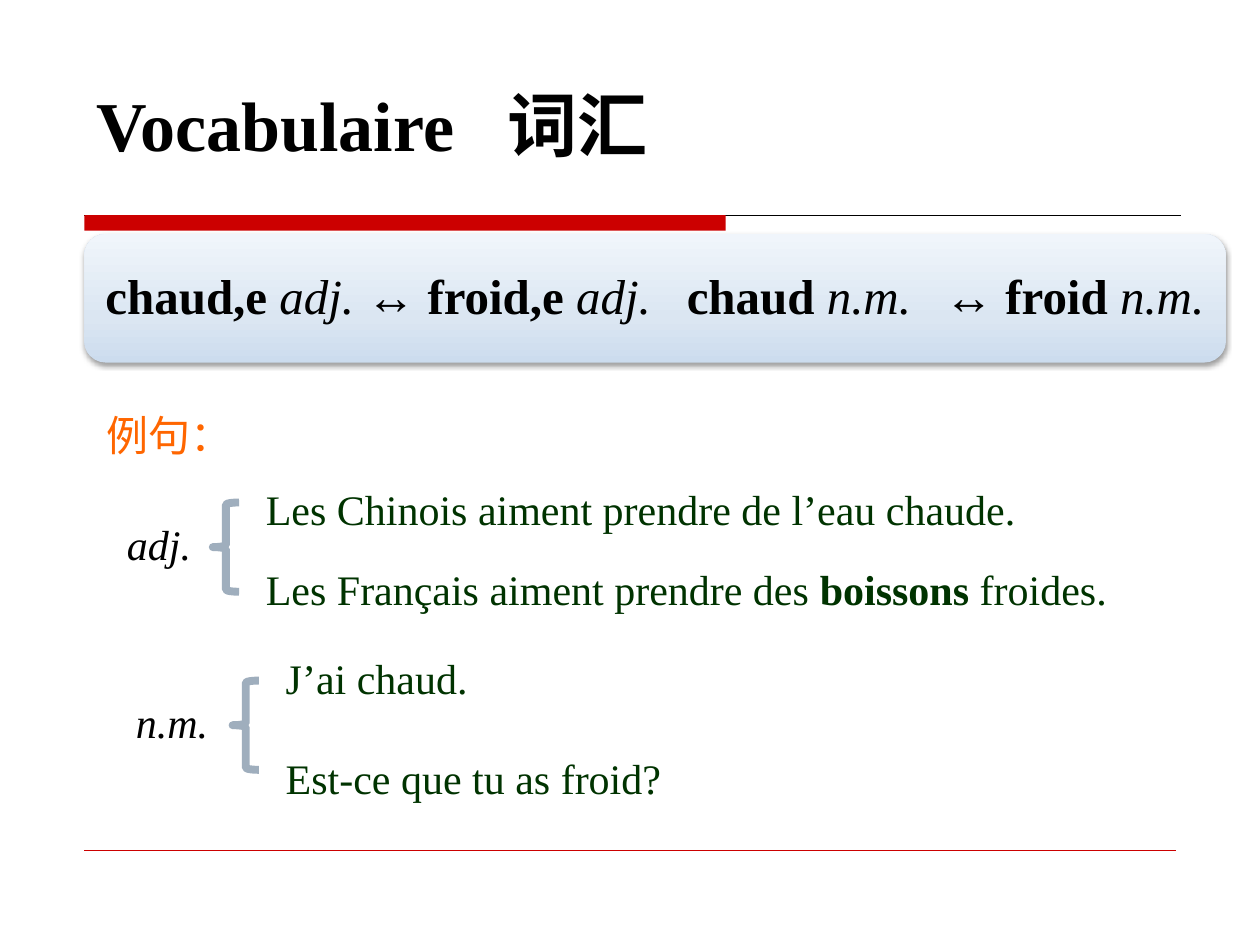
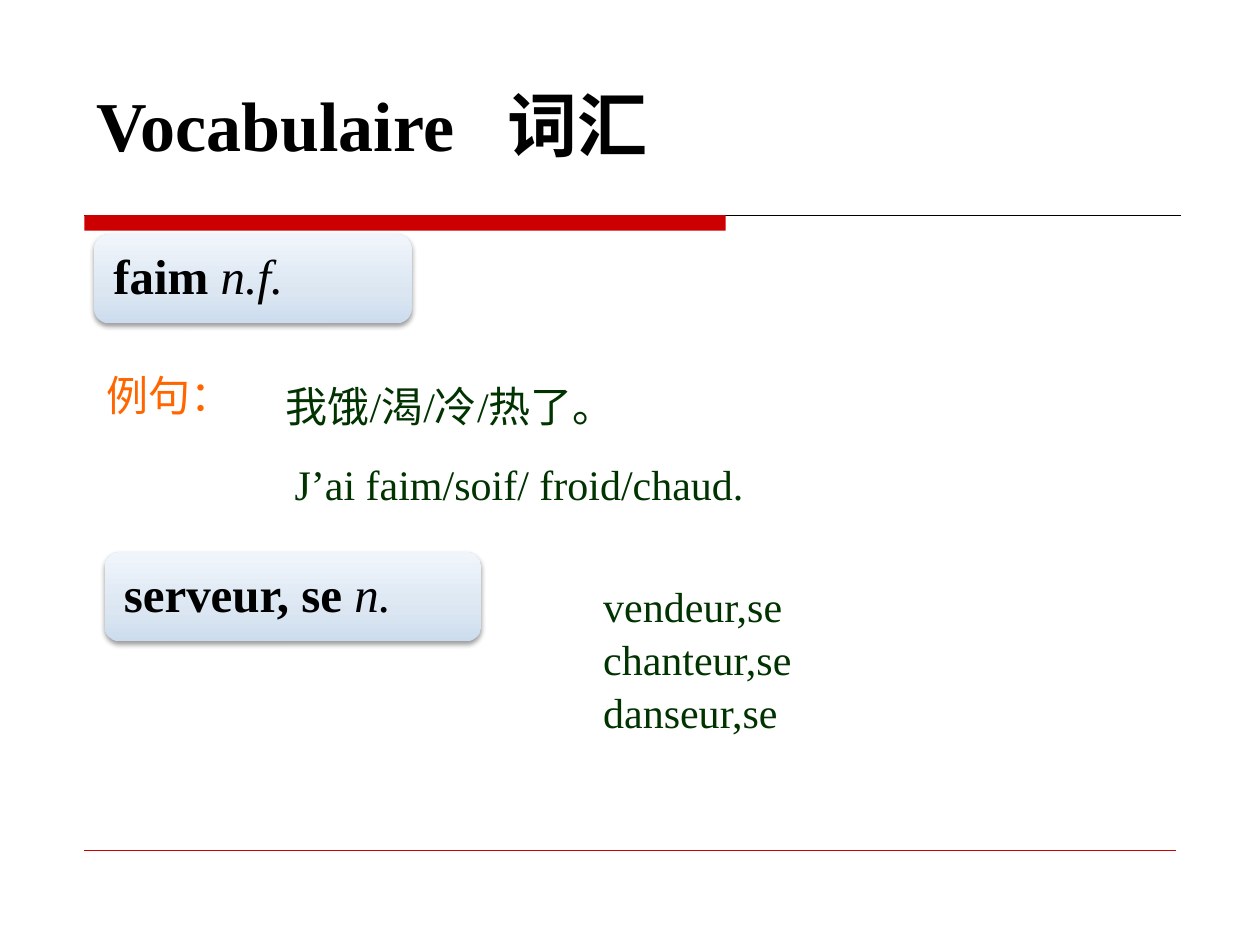
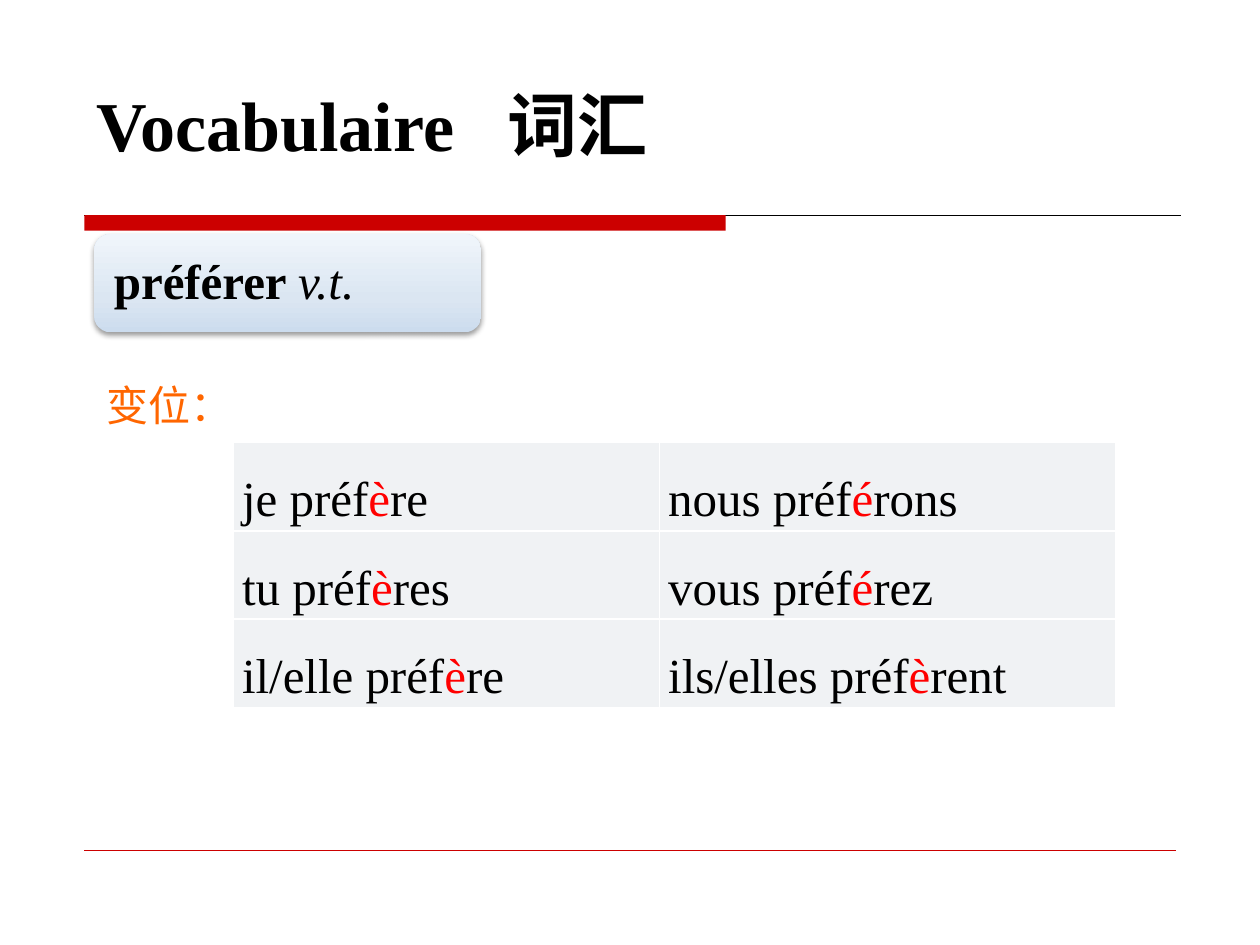
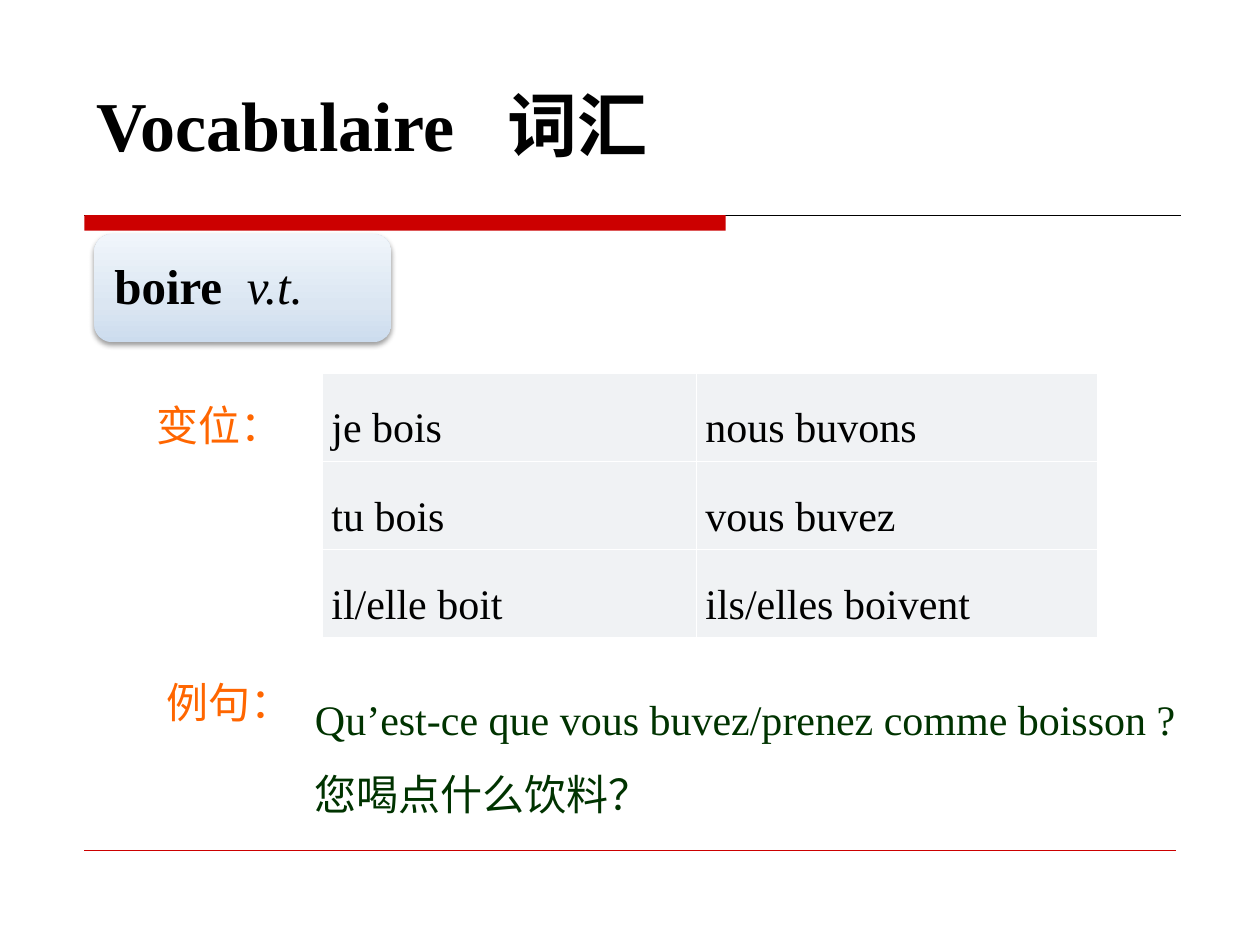
from copy import deepcopy

from lxml import etree
from pptx import Presentation
from pptx.dml.color import RGBColor
from pptx.enum.shapes import MSO_CONNECTOR, MSO_SHAPE
from pptx.enum.text import MSO_ANCHOR, MSO_AUTO_SIZE, PP_ALIGN
from pptx.oxml.ns import qn
from pptx.util import Cm, Pt

RECT, ROUND = MSO_SHAPE.RECTANGLE, MSO_SHAPE.ROUNDED_RECTANGLE
BRACE, STRAIGHT = MSO_SHAPE.LEFT_BRACE, MSO_CONNECTOR.STRAIGHT
MIDDLE, GROW = MSO_ANCHOR.MIDDLE, MSO_AUTO_SIZE.SHAPE_TO_FIT_TEXT
LEFT, JUSTIFY = PP_ALIGN.LEFT, PP_ALIGN.JUSTIFY

COLORS = {
    "red": "CC0000", "ink": "000000", "label": "FF6600", "green": "003300",
    "brace": "9FAEBD", "cell": "F0F2F4", "edge": "FFFFFF", "mark": "FF0000",
}
CARD_STOPS = [(0, "CCDCEE"), (0.35, "DBE6F2"), (1, "F0F5FB")]
SERIF, HAN = "Times New Roman", "Noto Sans CJK SC"


def rgb(name):
    return RGBColor.from_string(COLORS[name])


def node(parent, tag, **attrs):
    return etree.SubElement(parent, qn(tag), attrs)


class Deck:
    """Holds the style and the current slide."""

    def __init__(self):
        self.prs = Presentation()
        self.prs.slide_width, self.prs.slide_height = Cm(25.4), Cm(19.05)
        self.slide = None

    # Shared frame: title, red band and thin rules
    def page(self):
        self.slide = self.prs.slides.add_slide(self.prs.slide_layouts[6])
        self.rule(4.34, 23.8, "ink", 0.75)
        band = self.shape(RECT, (1.7, 4.34, 12.93, 0.31))
        band.fill.solid()
        band.fill.fore_color.rgb = rgb("red")
        band.line.fill.background()
        self.rule(17.14, 23.7, "red", 0.25)
        self.text((1.7, 1.52, 19.81, 1.96), "Vocabulaire\t词汇", size=40,
                  color="ink", bold=True, tabs=[8.28])

    def rule(self, y, right, color, width):
        line = self.slide.shapes.add_connector(
            STRAIGHT, Cm(1.7), Cm(y), Cm(right), Cm(y))
        line.line.color.rgb = rgb(color)
        line.line.width = Pt(width)
        node(line._element.spPr, "a:effectLst")

    def shape(self, kind, box):
        item = self.slide.shapes.add_shape(kind, *map(Cm, box))
        item.shadow.inherit = False
        return item

    # A bar in the text switches the accent on or off
    def style(self, para, text, size=24, color="green", font=SERIF, bold=False,
              italic=False, accent=None, space=None, tabs=(), align=LEFT):
        if tabs:
            stops = node(para._p.get_or_add_pPr(), "a:tabLst")
            for tab in tabs:
                node(stops, "a:tab", pos=str(Cm(tab)), algn="l")
        para.alignment = align
        if space:
            para.line_spacing = space
        for i, part in enumerate(text.split("|")):
            if not part:
                continue
            look = {"color": color, "bold": bold, "italic": italic}
            if i % 2:
                look.update(accent)
            run = para.add_run()
            run.text = part
            face = run.font
            face.size, face.name = Pt(size), font
            face.bold, face.italic = look["bold"], look["italic"]
            face.color.rgb = rgb(look["color"])
            node(run._r.get_or_add_rPr(), "a:ea", typeface=HAN)

    def text(self, box, *lines, **style):
        frame = self.slide.shapes.add_textbox(*map(Cm, box)).text_frame
        frame.word_wrap = True
        frame.auto_size = GROW
        for i, line in enumerate(lines):
            para = frame.add_paragraph() if i else frame.paragraphs[0]
            self.style(para, line, **style)

    def label(self, x, y, text):
        self.text((x, y, 4, 1.3), text, color="label", font=HAN)

    # Word card: bold word, italic word class
    def card(self, box, text, tabs=()):
        card = self.shape(ROUND, box)
        card.line.fill.background()
        card.fill.gradient()
        card.fill.gradient_angle = 90
        first = card._element.spPr.find(".//" + qn("a:gs"))
        first.addnext(deepcopy(first))
        for stop, (pos, tone) in zip(card.fill.gradient_stops, CARD_STOPS):
            stop.position = pos
            stop.color.rgb = RGBColor.from_string(tone)
        glow = node(card._element.spPr.find(qn("a:effectLst")), "a:outerShdw",
                    blurRad=str(Pt(3.1)), dist=str(Pt(1.6)), dir="5400000",
                    rotWithShape="0")
        node(node(glow, "a:srgbClr", val=COLORS["ink"]), "a:alpha", val="38000")
        frame = card.text_frame
        frame.word_wrap = True
        frame.vertical_anchor = MIDDLE
        frame.margin_left = frame.margin_right = Cm(0.3)
        frame.margin_top = frame.margin_bottom = Cm(0.3)
        self.style(frame.paragraphs[0], text, size=28, color="ink", bold=True,
                   accent={"bold": False, "italic": True}, space=0.9, tabs=tabs)

    def brace(self, x, y):
        brace = self.shape(BRACE, (x, y, 0.53, 1.8))
        brace.fill.background()
        brace.line.color.rgb = rgb("brace")
        brace.line.width = Pt(4.5)

    # Verb table, three rows of two persons
    def verbs(self, x, y, widths, rows, size):
        high = 1.78
        table = self.slide.shapes.add_table(
            len(rows), len(widths), Cm(x), Cm(y),
            Cm(sum(widths)), Cm(high * len(rows))).table
        table.first_row = table.horz_banding = False
        for col, width in zip(table.columns, widths):
            col.width = Cm(width)
        for row, words in zip(table.rows, rows):
            row.height = Cm(high)
            for cell, word in zip(row.cells, words):
                self.cell(cell, word, size)

    def cell(self, cell, word, size):
        props = cell._tc.get_or_add_tcPr()
        for side in "LRTB":
            edge = node(props, "a:ln" + side, w=str(Pt(1)))
            node(node(edge, "a:solidFill"), "a:srgbClr", val=COLORS["edge"])
        cell.fill.solid()
        cell.fill.fore_color.rgb = rgb("cell")
        cell.vertical_anchor = MIDDLE
        cell.margin_left = cell.margin_right = Cm(0.18)
        cell.margin_top = cell.margin_bottom = 0
        self.style(cell.text_frame.paragraphs[0], word, size=size, color="ink",
                   accent={"color": "mark"}, space=1.5, align=JUSTIFY)


def main():
    deck = Deck()

    # Slide 1: chaud and froid
    deck.page()
    deck.label(1.9, 8.13, "例句：")
    deck.card((1.7, 4.72, 23.01, 2.59),
              "chaud,e |adj. |↔ froid,e |adj.|\tchaud |n.m.|\t↔ froid |n.m.",
              tabs=[11.72, 16.91])
    groups = [
        ("adj.", 2.31, 10.13, 5.11,
         [(9.12, "Les Chinois aiment prendre de l’eau chaude."),
          (10.72, "Les Français aiment prendre des |boissons| froides.")]),
        ("n.m.", 2.49, 13.72, 5.51,
         [(12.52, "J’ai chaud."), (14.53, "Est-ce que tu as froid?")]),
    ]
    for kind, x, y, left, lines in groups:
        deck.text((x, y + 0.19, 2.39, 1.27), kind, color="ink", italic=True)
        deck.brace(left - 0.82, y)
        for top, line in lines:
            deck.text((left, top, 18.21, 1.6), line, space=1.5,
                      accent={"bold": True})

    # Slide 2: faim and serveur
    deck.page()
    deck.card((1.9, 4.72, 6.4, 1.8), "faim |n.f.")
    deck.label(1.9, 7.32, "例句：")
    deck.text((5.51, 7.32, 13.59, 1.37), "我饿/渴/冷/热了。", space=Pt(35))
    deck.text((5.69, 9.12, 14.4, 1.3), "J’ai faim/soif/ froid/chaud.")
    deck.card((2.11, 11.13, 7.59, 1.8), "serveur, se |n.")
    deck.text((11.91, 11.53, 5.41, 3.33),
              "vendeur,se", "chanteur,se", "danseur,se", space=1.05)

    # Slide 3: préférer
    deck.page()
    deck.card((1.9, 4.72, 7.8, 1.98), "préférer |v.t.")
    deck.label(1.9, 7.52, "变位：")
    deck.verbs(4.7, 8.92, (8.59, 9.2), [
        ("je préf|è|re", "nous préf|é|rons"),
        ("tu préf|è|res", "vous préf|é|rez"),
        ("il/elle préf|è|re", "ils/elles préf|è|rent"),
    ], 28)

    # Slide 4: boire
    deck.page()
    deck.card((1.9, 4.72, 5.99, 2.18), "boire|\tv.t.", tabs=[2.67])
    deck.label(2.9, 7.92, "变位：")
    deck.label(3.1, 13.51, "例句：")
    deck.text((6.1, 13.34, 18.03, 3.12),
              "Qu’est-ce que vous buvez/prenez comme boisson ?",
              "您喝点什么饮料？", space=1.5)
    deck.verbs(6.5, 7.52, (7.54, 8.08), [
        ("je bois", "nous buvons"),
        ("tu bois", "vous buvez"),
        ("il/elle boit", "ils/elles boivent"),
    ], 24)

    deck.prs.save("out.pptx")


if __name__ == "__main__":
    main()
